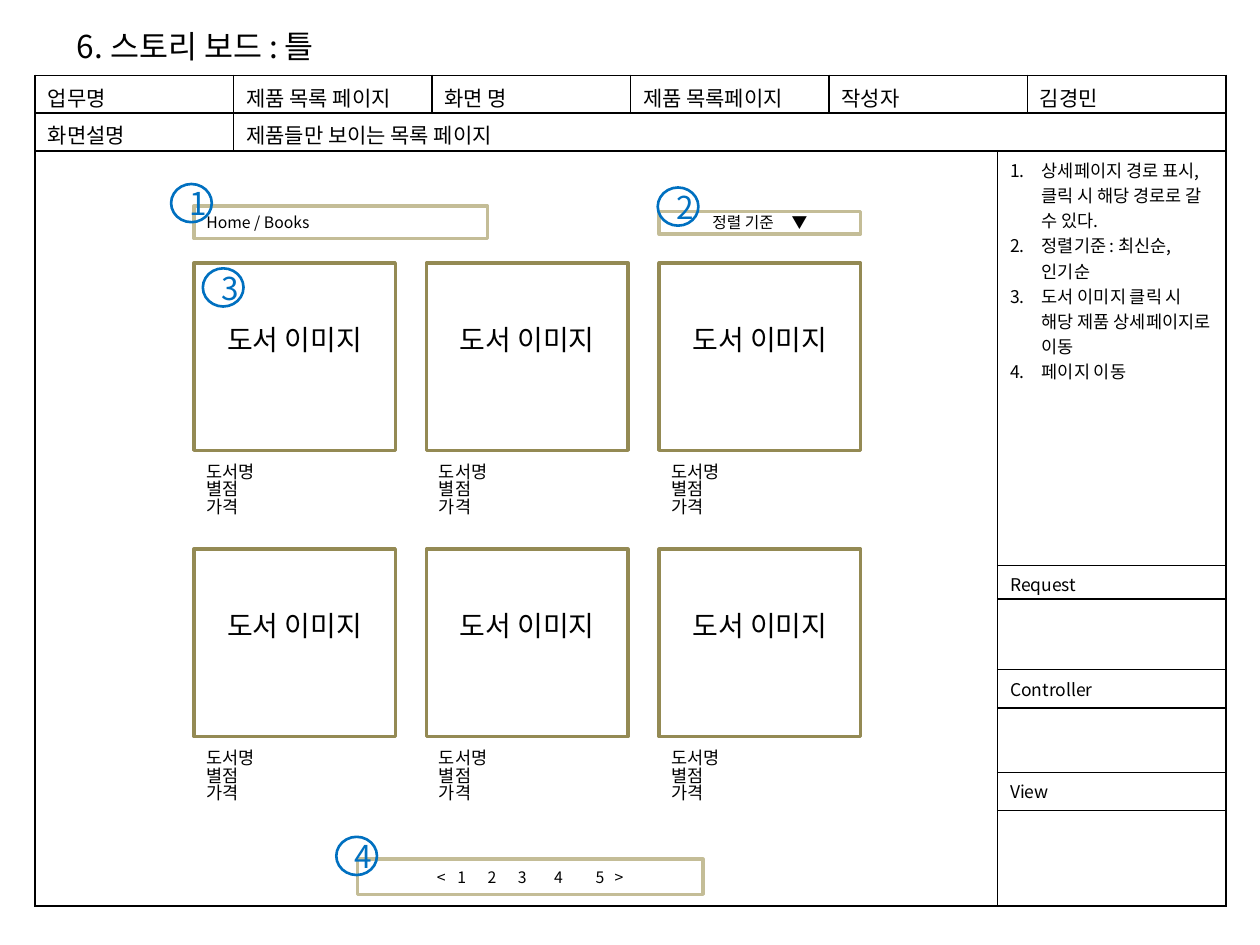
"""Build the storyboard slide for a book list page."""
from dataclasses import dataclass

from lxml import etree
from pptx import Presentation
from pptx.dml.color import RGBColor
from pptx.enum.shapes import MSO_SHAPE
from pptx.enum.text import MSO_ANCHOR, MSO_AUTO_SIZE, PP_ALIGN
from pptx.oxml.ns import qn
from pptx.util import Cm, Pt

RECTANGLE, OVAL = MSO_SHAPE.RECTANGLE, MSO_SHAPE.OVAL
LEFT, CENTER = PP_ALIGN.LEFT, PP_ALIGN.CENTER
MIDDLE = MSO_ANCHOR.MIDDLE
NO_GROW = MSO_AUTO_SIZE.NONE


@dataclass(frozen=True)
class Theme:
    """Hold the colours, font and type sizes."""
    font: str = "Noto Sans CJK KR"
    ink: str = "000000"
    book: str = "948A54"
    control: str = "C4BD97"
    marker: str = "0070C0"
    title: int = 18
    image: int = 16
    header: int = 12
    body: int = 10
    small: int = 9


THEME = Theme()

TITLE = "6. 스토리 보드 : 틀"
NOTES = [
    "상세페이지 경로 표시, 클릭 시 해당 경로로 갈 수 있다.",
    "정렬기준 : 최신순, 인기순",
    "도서 이미지 클릭 시 해당 제품 상세페이지로 이동",
    "페이지 이동",
]
HEADER_CELLS = {
    (0, 0): "업무명", (0, 1): "제품 목록 페이지", (0, 2): "화면 명",
    (0, 3): "제품 목록페이지", (0, 4): "작성자", (0, 6): "김경민",
    (1, 0): "화면설명", (1, 1): "제품들만 보이는 목록 페이지",
}
SIDE_CELLS = {(2, 5): "\n".join(NOTES), (3, 5): "Request", (5, 5): "Controller", (7, 5): "View"}
MERGES = [((0, 4), (0, 5)), ((1, 1), (1, 6)), ((2, 0), (8, 4))]
MERGES += [((row, 5), (row, 6)) for row in range(2, 9)]
COLUMNS = [4, 4, 4, 4, 3.4, 0.6, 4]
ROWS = [0.76, 0.76, 8.36, 0.68, 1.42, 0.77, 1.3, 0.77, 1.92]

IMAGE_LABEL = "도서 이미지"
BOOK_DETAILS = "도서명\n별점\n가격"
BOOK_LEFT, BOOK_TOP, BOOK_WIDTH, BOOK_HEIGHT = 3.91, 5.3, 4.06, 3.78
BOOK_STEP_X, BOOK_STEP_Y = 4.69, 5.77

CONTROLS = [
    ("Home / Books", (3.91, 4.15, 5.92, 0.66), 0.25, []),
    ("정렬 기준\t▼", (13.29, 4.26, 4.06, 0.46), 1.07, [1.6]),
    ("<\t1\t2\t3\t4\t5\t>", (7.21, 17.32, 6.96, 0.71), 1.6, [0.41, 1.02, 1.63, 2.36, 3.2, 3.58]),
]
MARKERS = [("1", 3.45, 3.71), ("2", 13.26, 3.78), ("3", 4.09, 5.41), ("4", 6.78, 16.87)]
MARKER_SIZE = (0.82, 0.77)


def style(frame, size, color=THEME.ink, align=LEFT, spacing=None):
    for para in frame.paragraphs:
        para.alignment = align
        if spacing:
            para.line_spacing = spacing
        for span in para.runs:
            span.font.size = Pt(size)
            span.font.name = THEME.font
            span.font.color.rgb = RGBColor.from_string(color)
            east_asian = etree.SubElement(span.font._element, qn("a:ea"))
            east_asian.set("typeface", THEME.font)


def add_outline(shapes, kind, place, color, weight, text, size, ink=THEME.ink, align=CENTER):
    shape = shapes.add_shape(kind, *map(Cm, place))
    shape.shadow.inherit = False
    shape.fill.background()
    shape.line.color.rgb = RGBColor.from_string(color)
    shape.line.width = Pt(weight)
    frame = shape.text_frame
    frame.text = text
    frame.vertical_anchor = MIDDLE
    style(frame, size, ink, align)
    return shape


def add_text(shapes, place, text, size, wrap, spacing=None):
    frame = shapes.add_textbox(*map(Cm, place)).text_frame
    frame.auto_size = NO_GROW
    frame.word_wrap = wrap
    frame.text = text
    style(frame, size, spacing=spacing)


def set_borders(cell):
    properties = cell._tc.get_or_add_tcPr()
    for index, side in enumerate(("lnL", "lnR", "lnT", "lnB")):
        line = etree.Element(qn(f"a:{side}"), w=str(Pt(1)))
        fill = etree.SubElement(line, qn("a:solidFill"))
        etree.SubElement(fill, qn("a:srgbClr"), val=THEME.ink)
        properties.insert(index, line)


def number_paragraphs(frame):
    for para in frame.paragraphs:
        properties = para._p.get_or_add_pPr()
        properties.set("marL", str(Cm(0.64)))
        properties.set("indent", str(-Cm(0.64)))
        etree.SubElement(properties, qn("a:buFont"), typeface=THEME.font)
        etree.SubElement(properties, qn("a:buAutoNum"), type="arabicPeriod")


def set_tabs(para, stops):
    tabs = etree.SubElement(para._p.get_or_add_pPr(), qn("a:tabLst"))
    for stop in stops:
        etree.SubElement(tabs, qn("a:tab"), pos=str(Cm(stop)), algn="l")


def add_storyboard(page):
    frame = page.shapes.add_table(
        len(ROWS), len(COLUMNS), Cm(0.71), Cm(1.52), Cm(sum(COLUMNS)), Cm(sum(ROWS)))
    table = frame.table
    table.first_row = table.horz_banding = False
    for column, width in zip(table.columns, COLUMNS):
        column.width = Cm(width)
    for row, height in zip(table.rows, ROWS):
        row.height = Cm(height)
    for cell in table.iter_cells():
        cell.fill.background()
        cell.margin_bottom = 0
        set_borders(cell)
    for first, last in MERGES:
        table.cell(*first).merge(table.cell(*last))
    for cells, size in ((HEADER_CELLS, THEME.header), (SIDE_CELLS, THEME.body)):
        for position, text in cells.items():
            cell = table.cell(*position)
            cell.text = text
            style(cell.text_frame, size)
    for cell in table.iter_cells():
        if not cell.text:
            para = cell.text_frame.paragraphs[0]
            etree.SubElement(para._p, qn("a:endParaRPr"), sz=str(THEME.body * 100))
    number_paragraphs(table.cell(2, 5).text_frame)


def add_book(page, column, row):
    left = BOOK_LEFT + column * BOOK_STEP_X
    top = BOOK_TOP + row * BOOK_STEP_Y
    shapes = page.shapes.add_group_shape().shapes
    image = add_outline(shapes, RECTANGLE, (left, top, BOOK_WIDTH, BOOK_HEIGHT),
                        THEME.book, 2, IMAGE_LABEL, THEME.image)
    image.text_frame.margin_bottom = Cm(0.84)
    add_text(shapes, (left, top + 3.94, BOOK_WIDTH, 1.42), BOOK_DETAILS, THEME.body, True, 0.83)


def main():
    deck = Presentation()
    deck.slide_width, deck.slide_height = Cm(25.4), Cm(19.05)
    page = deck.slides.add_slide(deck.slide_layouts[6])
    add_text(page.shapes, (1.3, 0.53, 5.89, 1.8), TITLE, THEME.title, False, 0.86)
    add_storyboard(page)
    for row in range(2):
        for column in range(3):
            add_book(page, column, row)
    for text, place, inset, stops in CONTROLS:
        control = add_outline(page.shapes, RECTANGLE, place, THEME.control, 2,
                              text, THEME.small, align=LEFT)
        control.text_frame.margin_left = Cm(inset)
        if stops:
            set_tabs(control.text_frame.paragraphs[0], stops)
    for number, left, top in MARKERS:
        add_outline(page.shapes, OVAL, (left, top, *MARKER_SIZE), THEME.marker, 1.5,
                    number, THEME.title, THEME.marker)
    deck.save("out.pptx")


main()
